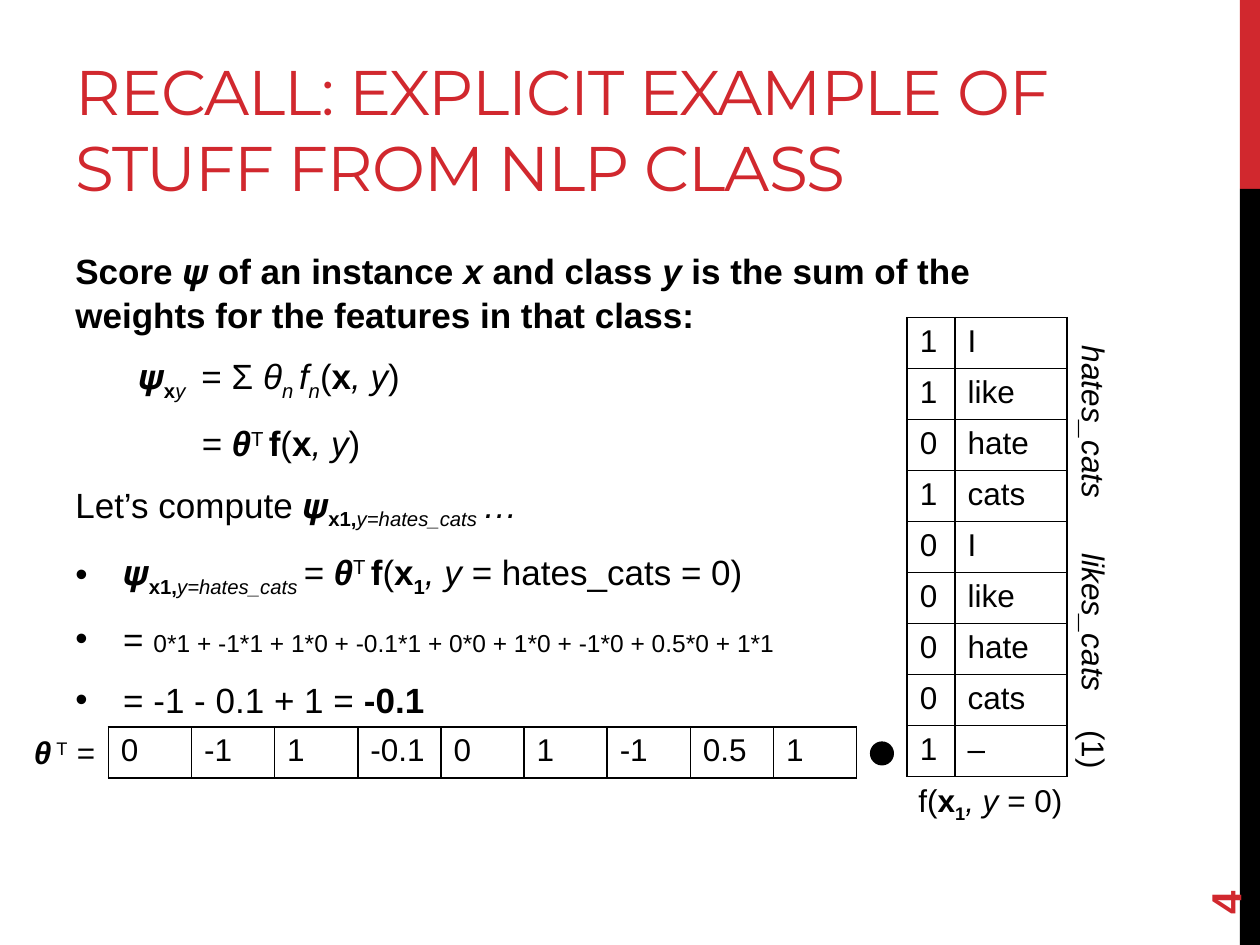
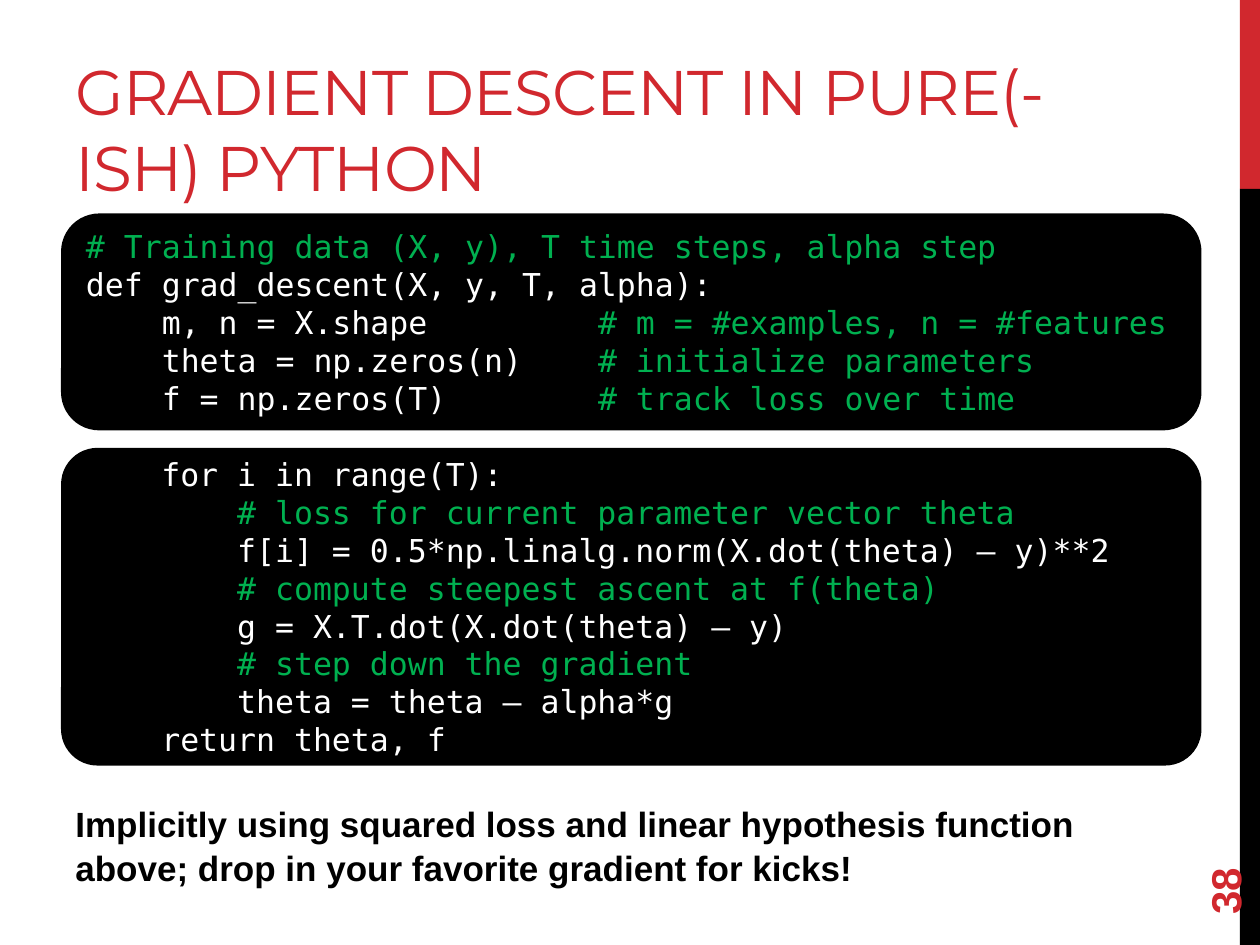
from lxml.etree import SubElement
from pptx import Presentation
from pptx.dml.color import RGBColor
from pptx.enum.shapes import MSO_SHAPE
from pptx.enum.text import MSO_ANCHOR, MSO_AUTO_SIZE, PP_ALIGN
from pptx.oxml.ns import qn
from pptx.util import Inches, Pt

COLORS = {
    "accent": "D1282E",
    "black": "000000",
    "white": "FFFFFF",
    "comment": "00B050",
}
TITLE_FONT, BODY_FONT, CODE_FONT = "Montserrat", "Arial", "DejaVu Sans Mono"
BASELINES = {"_": "-25000", "^": "30000"}
HANGING = Inches(0.38)
CELL_SIDE = 0.405

# Each run is (text, style): b bold, i italic, _ subscript, ^ superscript, s small
PSI_X1 = [("x1,", "b_"), ("y=hates_cats ", "i_")]
THETA_T_F = [("θ", "bi"), ("T ", "^"), ("f", "b"), ("(", ""), ("x", "b")]

SCORE_PARAGRAPHS = [
    [("Score ", "b"), ("𝝍 ", ""), ("of an instance ", "b"), ("x", "bi"),
     (" and class ", "b"), ("y", "bi"),
     (" is the sum of the weights for the features in that class:", "b")],
    [("\t𝝍", ""), ("x", "b_"), ("y\t", "i_"), ("= Σ ", ""), ("θ", "i"),
     ("n ", "i_"), ("f", "i"), ("n", "i_"), ("(", ""), ("x", "b"),
     (", y", "i"), (")", "")],
    [("\t\t= ", "i"), *THETA_T_F, (", y", "i"), (")", "")],
    [("Let’s compute 𝝍", ""), *PSI_X1, ("…", "i")],
]
SCORE_BULLETS = [
    [("𝝍", ""), *PSI_X1, ("= ", "i"), *THETA_T_F, ("1", "b_"),
     (", y ", "i"), ("= hates_cats = 0)", "")],
    [("= ", ""),
     ("0*1 + -1*1 + 1*0 + -0.1*1 + 0*0 + 1*0 + -1*0 + 0.5*0 + 1*1", "s")],
    [("= -1 - 0.1 + 1 = ", ""), ("-0.1", "b")],
]
WEIGHTS = ["0", "-1", "1", "-0.1", "0", "1", "-1", "0.5", "1"]
FEATURES = list(zip("110100001", ["I", "like", "hate", "cats"] * 2 + ["–"]))

SETUP_CODE = """\
# Training data (X, y), T time steps, alpha step
def grad_descent(X, y, T, alpha):
    m, n = X.shape         # m = #examples, n = #features
    theta = np.zeros(n)    # initialize parameters
    f = np.zeros(T)        # track loss over time"""
LOOP_CODE = """\
    for i in range(T):
        # loss for current parameter vector theta
        f[i] = 0.5*np.linalg.norm(X.dot(theta) – y)**2
        # compute steepest ascent at f(theta)
        g = X.T.dot(X.dot(theta) – y)
        # step down the gradient
        theta = theta – alpha*g
    return theta, f"""


def rgb(name):
    return RGBColor.from_string(COLORS[name])


def add_run(paragraph, text, size, style="", color="black", font=BODY_FONT):
    run = paragraph.add_run()
    run.text = text
    run.font.name = font
    run.font.size = Pt(14 if "s" in style else size)
    run.font.bold = "b" in style
    run.font.italic = "i" in style
    run.font.color.rgb = rgb(color)
    for mark, offset in BASELINES.items():
        if mark in style:
            run.font._element.set("baseline", offset)
    return run


def add_box(slide, left, top, width, height):
    box = slide.shapes.add_textbox(
        Inches(left), Inches(top), Inches(width), Inches(height))
    box.text_frame.word_wrap = True
    return box


def add_label(slide, bounds, runs, size=18, align=PP_ALIGN.LEFT, rotation=0,
              color="black"):
    box = add_box(slide, *bounds)
    box.rotation = rotation
    box.text_frame.vertical_anchor = MSO_ANCHOR.MIDDLE
    paragraph = box.text_frame.paragraphs[0]
    paragraph.alignment = align
    for text, style in runs:
        add_run(paragraph, text, size, style, color)


def add_bullet(paragraph):
    properties = paragraph._p.get_or_add_pPr()
    properties.set("marL", str(HANGING))
    properties.set("indent", str(-HANGING))
    SubElement(properties, qn("a:buFont"), typeface=BODY_FONT)
    SubElement(properties, qn("a:buChar"), char="•")


def add_body(slide, bounds, paragraphs, bullets=()):
    """Add plain paragraphs followed by bulleted ones."""
    frame = add_box(slide, *bounds).text_frame
    for index, runs in enumerate([*paragraphs, *bullets]):
        paragraph = frame.add_paragraph() if index else frame.paragraphs[0]
        if index >= len(paragraphs):
            add_bullet(paragraph)
        paragraph.line_spacing = 1.04
        paragraph.space_before = Pt(4 if index else 0)
        paragraph.space_after = Pt(6)
        for text, style in runs:
            add_run(paragraph, text, 20, style)


def add_filled_shape(slide, kind, bounds, color, line_width=0):
    shape = slide.shapes.add_shape(kind, *map(Inches, bounds))
    shape.shadow.inherit = False
    shape.fill.solid()
    shape.fill.fore_color.rgb = rgb(color)
    if line_width:
        shape.line.color.rgb = rgb(color)
        shape.line.width = Pt(line_width)
    else:
        shape.line.fill.background()
    return shape


def add_code(slide, top, height, code, corner):
    shape = add_filled_shape(slide, MSO_SHAPE.ROUNDED_RECTANGLE,
                             (0.5, top, 9.02, height), "black", 2.25)
    shape.adjustments[0] = corner
    frame = shape.text_frame
    frame.word_wrap = True
    frame.vertical_anchor = MSO_ANCHOR.MIDDLE
    for index, line in enumerate(code.split("\n")):
        paragraph = frame.add_paragraph() if index else frame.paragraphs[0]
        paragraph.alignment = PP_ALIGN.LEFT
        statement, sign, comment = line.partition("#")
        for text, color in ((statement, "white"), (sign + comment, "comment")):
            if text:
                add_run(paragraph, text, 18, color=color, font=CODE_FONT)


def add_borders(cell):
    properties = cell._tc.get_or_add_tcPr()
    for side in ("lnL", "lnR", "lnT", "lnB"):
        line = SubElement(properties, qn(f"a:{side}"), w=str(Pt(1)))
        fill = SubElement(line, qn("a:solidFill"))
        SubElement(fill, qn("a:srgbClr"), val=COLORS["black"])


def add_grid(slide, left, top, widths, rows):
    table = slide.shapes.add_table(
        len(rows), len(widths), Inches(left), Inches(top),
        Inches(sum(widths)), Inches(CELL_SIDE * len(rows))).table
    table.first_row = table.horz_banding = False
    for column, width in zip(table.columns, widths):
        column.width = Inches(width)
    for row, values in zip(table.rows, rows):
        row.height = Inches(CELL_SIDE)
        for cell, value in zip(row.cells, values):
            add_borders(cell)
            cell.fill.background()
            add_run(cell.text_frame.paragraphs[0], value, 18)


def add_slide(presentation, title, number):
    """Add a slide with the shared side bands, title and page number."""
    slide = presentation.slides.add_slide(presentation.slide_layouts[5])
    for top, height, color in ((0, 1.5, "accent"), (1.5, 6, "black")):
        add_filled_shape(slide, MSO_SHAPE.RECTANGLE,
                         (9.84, top, 0.16, height), color)
    shape = slide.shapes.title
    shape.left, shape.top = Inches(0.5), Inches(0.17)
    shape.width, shape.height = Inches(8.34), Inches(1.5)
    frame = shape.text_frame
    frame.word_wrap = True
    frame.auto_size = MSO_AUTO_SIZE.NONE
    frame.vertical_anchor = MSO_ANCHOR.BOTTOM
    paragraph = frame.paragraphs[0]
    paragraph.alignment = PP_ALIGN.LEFT
    run = add_run(paragraph, title, 36, color="accent", font=TITLE_FONT)
    run.font._element.set("spc", "-60")
    add_label(slide, (9, 6.44, 1.44, 0.4), [(number, "b")], size=24,
              rotation=270, color="accent")
    return slide


def build_score_slide(presentation):
    slide = add_slide(
        presentation, "RECALL: EXPLICIT EXAMPLE OF STUFF FROM NLP CLASS", "4")
    add_body(slide, (0.5, 1.92, 7.56, 4.78), SCORE_PARAGRAPHS, SCORE_BULLETS)
    add_grid(slide, 0.86, 5.77, [0.66] * len(WEIGHTS), [WEIGHTS])
    add_grid(slide, 7.2, 2.52, [0.38, 0.89], FEATURES)
    add_filled_shape(slide, MSO_SHAPE.OVAL, (6.92, 5.9, 0.16, 0.16),
                     "black", 2.25)
    add_label(slide, (0, 5.77, 0.85, 0.4),
              [("θ", "bi"), (" T", "^"), (" =", "i")], align=PP_ALIGN.RIGHT)
    add_label(slide, (7.19, 6.17, 1.39, 0.4),
              [("f(", ""), ("x", "b"), ("1", "b_"), (", y ", "i"),
               ("= 0)", "")])
    for text, style, bounds in (
            ("hates_cats", "i", (7.86, 3.15, 1.65, 0.4)),
            ("likes_cats", "i", (7.86, 4.74, 1.65, 0.4)),
            ("(1)", "", (8.3, 5.75, 0.77, 0.4))):
        add_label(slide, bounds, [(text, style)], align=PP_ALIGN.CENTER,
                  rotation=90)


def build_code_slide(presentation):
    slide = add_slide(
        presentation, "GRADIENT DESCENT IN PURE(-ISH) PYTHON", "38")
    add_code(slide, 1.71, 1.69, SETUP_CODE, 0.17)
    add_code(slide, 3.57, 2.49, LOOP_CODE, 0.11)
    add_body(slide, (0.5, 6.31, 8.33, 0.78), [[
        ("Implicitly using squared loss and linear hypothesis function above; "
         "drop in your favorite gradient for kicks!", "b")]])


def main():
    presentation = Presentation()
    presentation.slide_width = Inches(10)
    presentation.slide_height = Inches(7.5)
    build_score_slide(presentation)
    build_code_slide(presentation)
    presentation.save("out.pptx")


if __name__ == "__main__":
    main()
